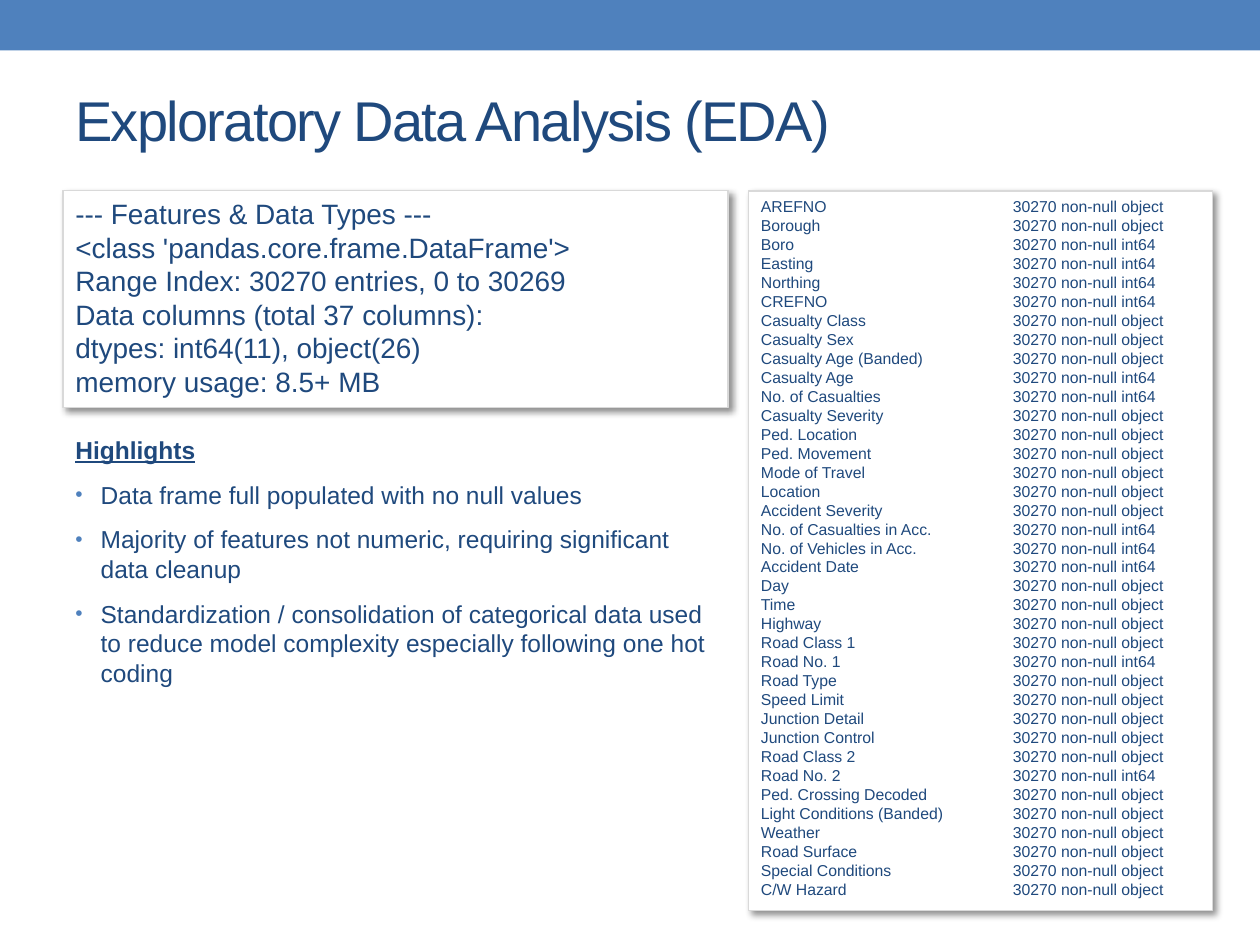
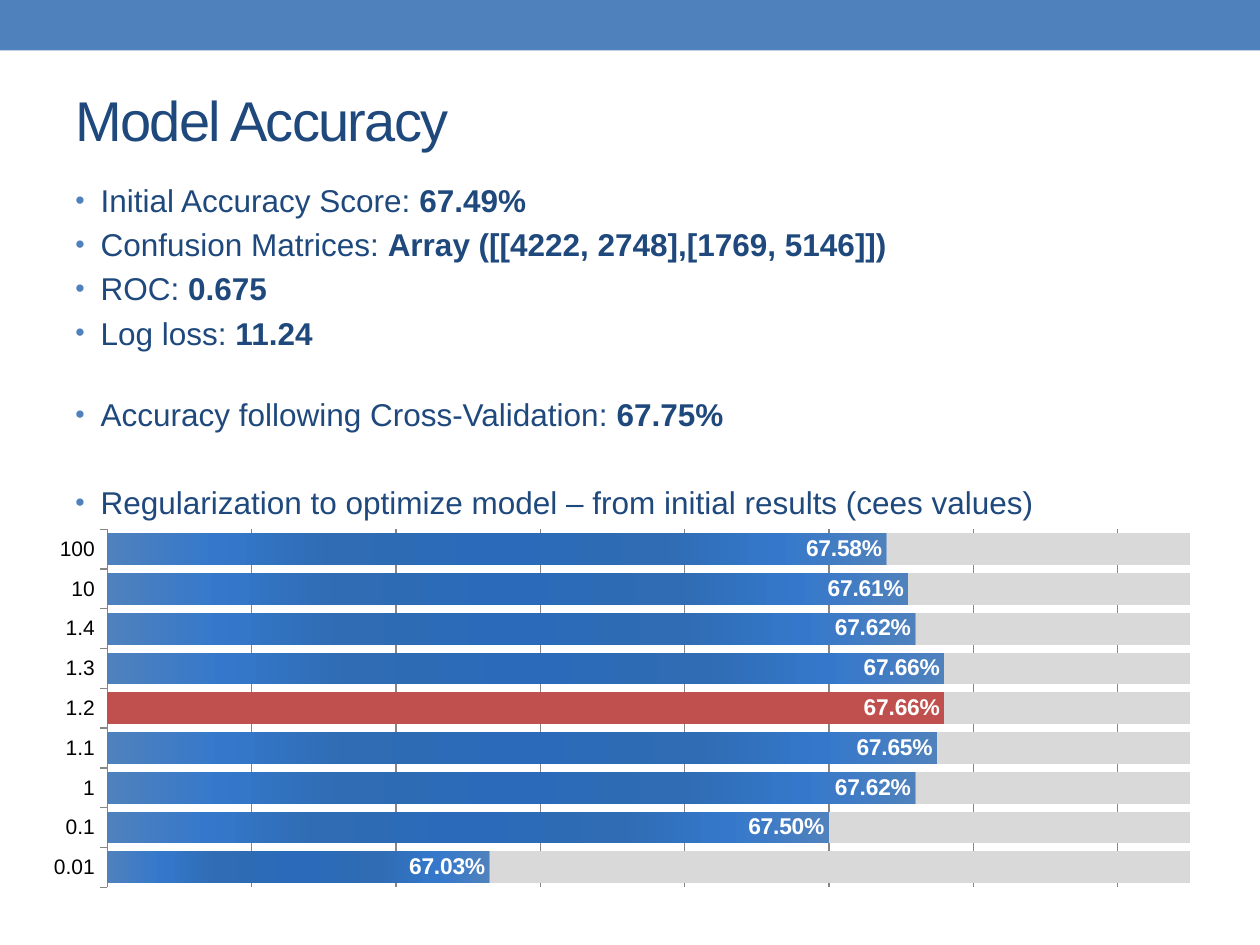
import pptx
import pptx.chart.data
import pptx.dml.color
import pptx.enum.chart
import pptx.enum.shapes
import pptx.enum.text
import pptx.oxml.ns
import pptx.util
from lxml import etree

Cm = pptx.util.Cm
Pt = pptx.util.Pt

COLORS = {
    "band": "4F81BD",
    "text": "1F497D",
    "panel": "FFFFFF",
    "panel_line": "D9D9D9",
    "shadow": "000000",
    "axis_text": "000000",
    "axis_line": "868686",
    "best": "C0504D",
    "rest": "D9D9D9",
    "bar_bright": "3578CB",
    "bar_deep": "2F6CB3",
    "bar_middle": "2B6ABA",
}
FONT = "Arial"
LEFT = 1.27
INDENT = 0.51

FEATURES = [
    "AREFNO", "Borough", "Boro", "Easting", "Northing", "CREFNO",
    "Casualty Class", "Casualty Sex", "Casualty Age (Banded)",
    "Casualty Age", "No. of Casualties", "Casualty Severity",
    "Ped. Location", "Ped. Movement", "Mode of Travel", "Location",
    "Accident Severity", "No. of Casualties in Acc.",
    "No. of Vehicles in Acc.", "Accident Date", "Day", "Time", "Highway",
    "Road Class 1", "Road No. 1", "Road Type", "Speed Limit",
    "Junction Detail", "Junction Control", "Road Class 2", "Road No. 2",
    "Ped. Crossing Decoded", "Light Conditions (Banded)", "Weather",
    "Road Surface", "Special Conditions", "C/W Hazard",
]
NUMERIC_FEATURES = {
    "Boro", "Easting", "Northing", "CREFNO", "Casualty Age",
    "No. of Casualties", "No. of Casualties in Acc.",
    "No. of Vehicles in Acc.", "Accident Date", "Road No. 1", "Road No. 2",
}
SUMMARY = [
    "--- Features & Data Types ---",
    "<class 'pandas.core.frame.DataFrame'>",
    "Range Index: 30270 entries, 0 to 30269",
    "Data columns (total 37 columns):",
    "dtypes: int64(11), object(26)",
    "memory usage: 8.5+ MB",
]
HIGHLIGHTS = [
    "Data frame full populated with no null values",
    "Majority of features not numeric, requiring significant data cleanup",
    "Standardization / consolidation of categorical data used to reduce "
    "model complexity especially following one hot coding",
]
SCORES = [
    ("Initial Accuracy Score: ", "67.49%", 3.6),
    ("Confusion Matrices: ", "Array ([[4222, 2748],[1769, 5146]])", 3.6),
    ("ROC: ", "0.675", 3.6),
    ("Log loss: ", "11.24", 3.6),
    ("Accuracy following Cross-Validation: ", "67.75%", 25.1),
    ("Regularization to optimize model – from initial results (cees values)",
     "", 28.7),
]
ACCURACY = {
    "0.01": 0.6703, "0.1": 0.675, "1": 0.6762, "1.1": 0.6765, "1.2": 0.6766,
    "1.3": 0.6766, "1.4": 0.6762, "10": 0.6761, "100": 0.6758,
}
BEST_CEE = "1.2"
BAR_STOPS = [
    (0, "band"), (14, "bar_bright"), (29, "bar_deep"), (50, "bar_middle"),
    (71, "bar_deep"), (86, "bar_bright"), (100, "band"),
]


def rgb(name):
    return pptx.dml.color.RGBColor.from_string(COLORS[name])


def add_xml(parent, tag, **attributes):
    child = etree.SubElement(parent, pptx.oxml.ns.qn(tag))
    for key, value in attributes.items():
        child.set(key, str(value))
    return child


class SlideBuilder:
    def __init__(self, deck):
        self.deck = deck
        self.page = None

    def start_page(self, title):
        self.page = self.deck.slides.add_slide(self.deck.slide_layouts[6])
        self.rectangle(0, 0, 25.4, 1.02, "band")
        frame = self.text_box(LEFT, 1.04, 22.86, 2.74)
        frame.vertical_anchor = pptx.enum.text.MSO_ANCHOR.MIDDLE
        span = self.span(frame.paragraphs[0], title, 32)
        span.font._element.set("spc", "-100")

    def rectangle(self, left, top, width, height, fill):
        box = self.page.shapes.add_shape(
            pptx.enum.shapes.MSO_SHAPE.RECTANGLE,
            Cm(left), Cm(top), Cm(width), Cm(height))
        box.shadow.inherit = False
        box.fill.solid()
        box.fill.fore_color.rgb = rgb(fill)
        box.line.fill.background()
        return box

    def text_box(self, left, top, width, height):
        box = self.page.shapes.add_textbox(
            Cm(left), Cm(top), Cm(width), Cm(height))
        box.text_frame.word_wrap = True
        return box.text_frame

    def para(self, frame, before=0, after=0):
        para = frame.paragraphs[0]
        if para.runs:
            para = frame.add_paragraph()
        para.alignment = pptx.enum.text.PP_ALIGN.LEFT
        para.space_before = Pt(before)
        para.space_after = Pt(after)
        return para

    def span(self, para, text, size, bold=False, underline=False):
        span = para.add_run()
        span.text = text
        font = span.font
        font.name = FONT
        font.size = Pt(size)
        font.bold = bold
        font.underline = underline
        font.color.rgb = rgb("text")
        return span

    def bullet(self, frame, before, after=0):
        para = self.para(frame, before, after)
        settings = para._p.get_or_add_pPr()
        settings.set("marL", str(Cm(INDENT)))
        settings.set("indent", str(-Cm(INDENT)))
        color = add_xml(settings, "a:buClr")
        add_xml(color, "a:srgbClr", val=COLORS["band"])
        add_xml(settings, "a:buSzPct", val=85000)
        add_xml(settings, "a:buFont", typeface=FONT)
        add_xml(settings, "a:buChar", char="•")
        return para

    def panel(self, left, top, width, height, lines, size, tab=None):
        box = self.rectangle(left, top, width, height, "panel")
        box.line.color.rgb = rgb("panel_line")
        box.line.width = Pt(0.75)
        effects = box._element.spPr.find(pptx.oxml.ns.qn("a:effectLst"))
        shadow = add_xml(effects, "a:outerShdw", blurRad=Pt(4), dist=Pt(3),
                         dir=2700000, algn="tl", rotWithShape=0)
        color = add_xml(shadow, "a:srgbClr", val=COLORS["shadow"])
        add_xml(color, "a:alpha", val=43000)
        frame = box.text_frame
        frame.word_wrap = True
        frame.vertical_anchor = pptx.enum.text.MSO_ANCHOR.TOP
        for line in lines:
            para = self.para(frame)
            if tab:
                stops = add_xml(para._p.get_or_add_pPr(), "a:tabLst")
                add_xml(stops, "a:tab", pos=Cm(tab), algn="l")
            self.span(para, line, size)

    def accuracy_chart(self, left, top, width, height, accuracy, best):
        data = pptx.chart.data.CategoryChartData(number_format="0.00%")
        data.categories = list(accuracy)
        data.add_series("Series 1", accuracy.values())
        data.add_series("Series 2",
                        [round(1 - value, 4) for value in accuracy.values()])
        chart = self.page.shapes.add_chart(
            pptx.enum.chart.XL_CHART_TYPE.BAR_STACKED_100,
            Cm(left), Cm(top), Cm(width), Cm(height), data).chart
        chart.has_legend = False
        chart.has_title = False
        chart.font.name = FONT
        chart.font.size = Pt(18)
        chart.font.color.rgb = rgb("axis_text")
        self.chart_axes(chart)
        plot = chart.plots[0]
        plot.gap_width = 25
        plot.overlap = 100
        plot.vary_by_categories = False
        score, rest = plot.series
        rest.format.fill.solid()
        rest.format.fill.fore_color.rgb = rgb("rest")
        self.bar_gradient(score)
        point = score.points[list(accuracy).index(best)]
        point.format.fill.solid()
        point.format.fill.fore_color.rgb = rgb("best")
        labels = score.data_labels
        labels.show_value = True
        labels.number_format = "0.00%"
        labels.number_format_is_linked = False
        labels.position = pptx.enum.chart.XL_LABEL_POSITION.INSIDE_END
        labels.font.name = FONT
        labels.font.size = Pt(13)
        labels.font.bold = True
        labels.font.color.rgb = rgb("panel")

    def chart_axes(self, chart):
        marks = pptx.enum.chart.XL_TICK_MARK
        category = chart.category_axis
        category.major_tick_mark = marks.OUTSIDE
        category.minor_tick_mark = marks.NONE
        category.tick_labels.font.size = Pt(12)
        category.format.line.color.rgb = rgb("axis_line")
        value = chart.value_axis
        value.minimum_scale = 0.665
        value.maximum_scale = 0.68
        value.major_unit = 0.002
        value.has_major_gridlines = True
        value.major_gridlines.format.line.color.rgb = rgb("axis_line")
        value.tick_labels.number_format = "0.00%"
        value.tick_labels.number_format_is_linked = False
        value.visible = False
        area = chart._chartSpace.chart.plotArea
        previous = area.find(pptx.oxml.ns.qn("c:layout"))
        if previous is not None:
            area.remove(previous)
        layout = etree.Element(pptx.oxml.ns.qn("c:layout"))
        area.insert(0, layout)
        manual = add_xml(layout, "c:manualLayout")
        for tag, setting in (("layoutTarget", "inner"), ("xMode", "edge"),
                             ("yMode", "edge"), ("x", 0.065), ("y", 0.02),
                             ("w", 0.914), ("h", 0.96)):
            add_xml(manual, "c:" + tag, val=setting)

    def bar_gradient(self, series):
        series.invert_if_negative = False
        series.format.fill.gradient()
        series.format.fill.gradient_angle = 0
        stops = series._element.find(".//" + pptx.oxml.ns.qn("a:gsLst"))
        for stop in list(stops):
            stops.remove(stop)
        for position, color in BAR_STOPS:
            stop = add_xml(stops, "a:gs", pos=position * 1000)
            add_xml(stop, "a:srgbClr", val=COLORS[color])


def build_eda(builder):
    builder.start_page("Exploratory Data Analysis (EDA)")
    frame = builder.text_box(LEFT, 8.64, 13.41, 9.55)
    heading = builder.para(frame, 2.8, 6)
    builder.span(heading, "Highlights", 14, bold=True, underline=True)
    for highlight in HIGHLIGHTS:
        builder.span(builder.bullet(frame, 2.8, 6), highlight, 14)
    rows = []
    for feature in FEATURES:
        kind = "int64" if feature in NUMERIC_FEATURES else "object"
        rows.append(f"{feature}\t30270 non-null {kind}")
    builder.panel(15.09, 3.85, 9.35, 14.5, rows, 9, tab=5.08)
    builder.panel(LEFT, 3.84, 13.41, 4.37, SUMMARY, 16)


def build_accuracy(builder):
    builder.start_page("Model Accuracy")
    frame = builder.text_box(LEFT, 3.53, 23.19, 13.54)
    for label, score, before in SCORES:
        para = builder.bullet(frame, before)
        builder.span(para, label, 18)
        if score:
            builder.span(para, score, 18, bold=True)
    builder.accuracy_chart(0.61, 10.52, 23.88, 7.52, ACCURACY, BEST_CEE)


def main():
    deck = pptx.Presentation()
    deck.slide_width = Cm(25.4)
    deck.slide_height = Cm(19.05)
    builder = SlideBuilder(deck)
    build_eda(builder)
    build_accuracy(builder)
    deck.save("out.pptx")


if __name__ == "__main__":
    main()
